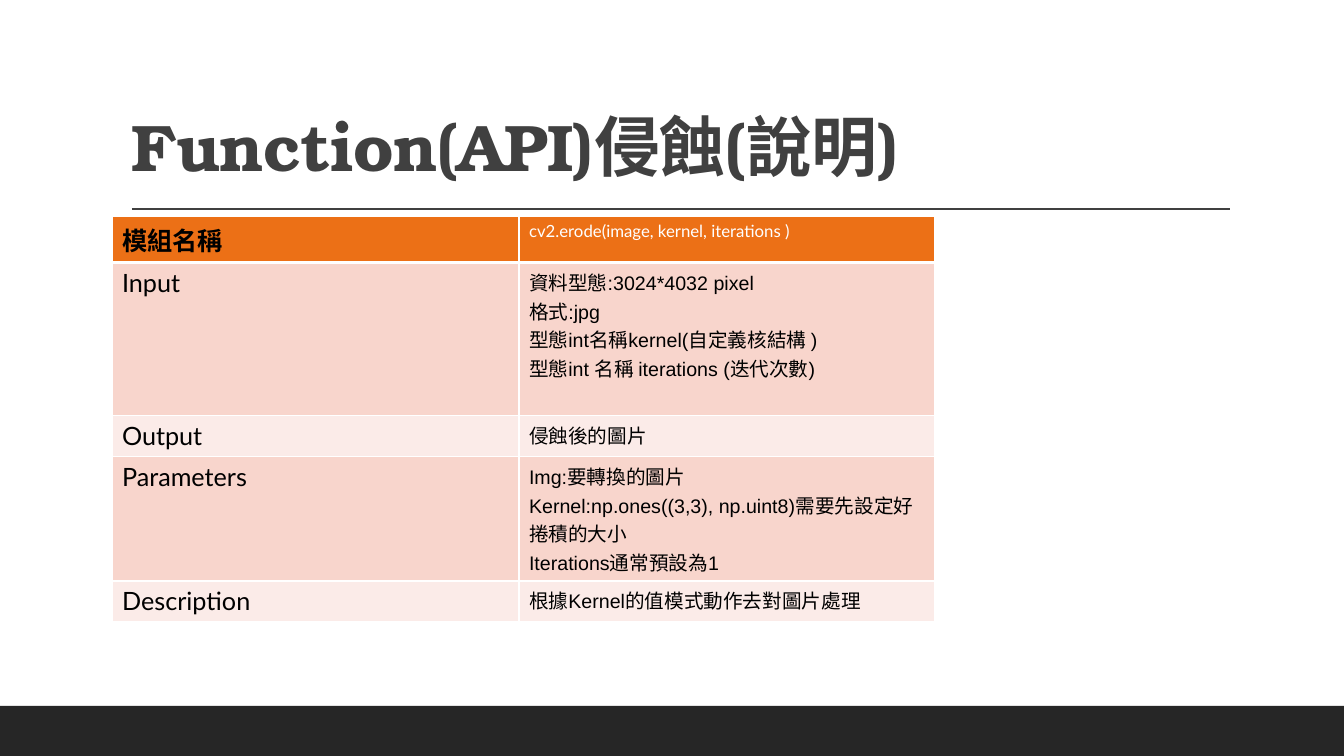
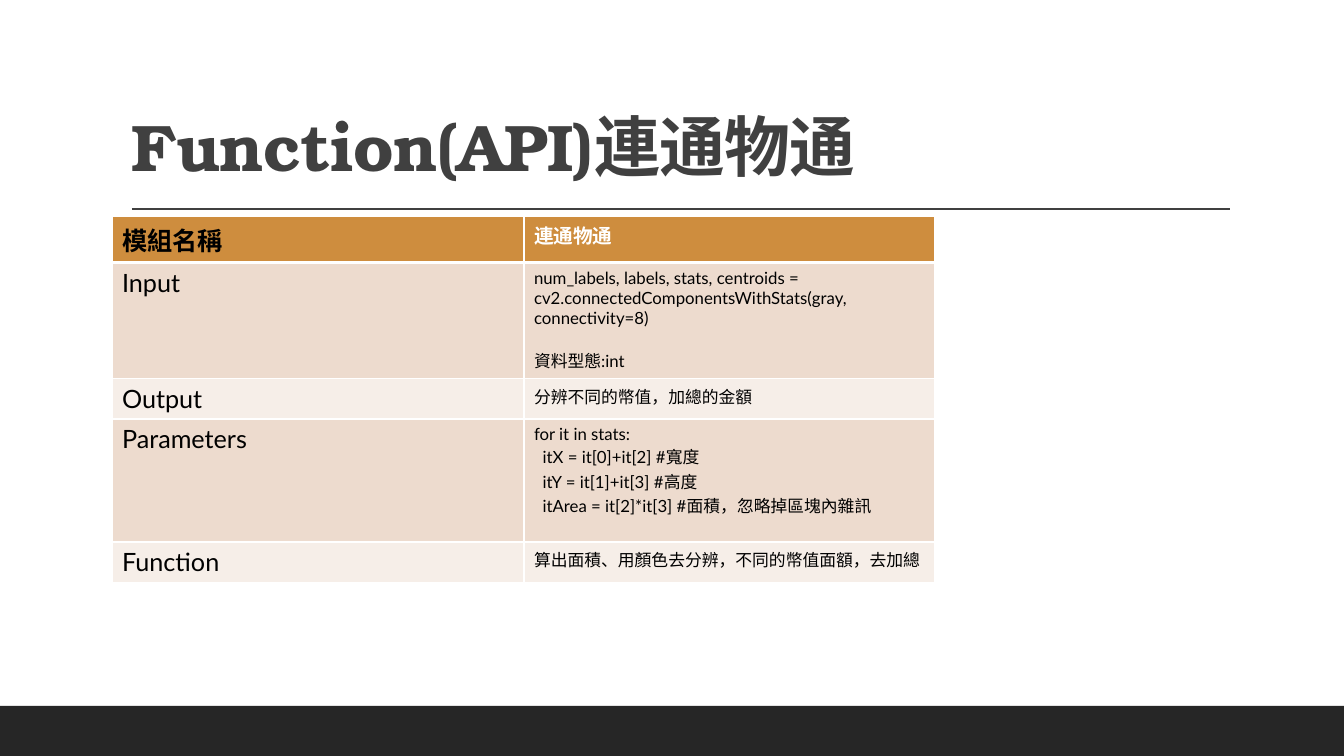
import pptx
import pptx.dml.color
import pptx.enum.shapes
import pptx.enum.text
import pptx.oxml
import pptx.oxml.ns
import pptx.util
from dataclasses import dataclass

# Content: row = (label, detail lines, height in px)
PAGES = [
    dict(
        title="Function(API)侵蝕(說明)",
        columns=(407, 416),
        colours=("EC7016", "F8D5CC", "FBEBE8"),
        heading=dict(size=12, bold=False),
        detail=dict(size=14, font="Arial"),
        rows=[
            ("模組名稱", ["cv2.erode(image, kernel, iterations )"], 46),
            ("Input", ["資料型態:3024*4032 pixel", "格式:jpg",
                       "型態int名稱kernel(自定義核結構 )",
                       "型態int 名稱 iterations (迭代次數)"], 153),
            ("Output", ["侵蝕後的圖片"], 41),
            ("Parameters", ["Img:要轉換的圖片",
                            "Kernel:np.ones((3,3), np.uint8)需要先設定好捲積的大小",
                            "Iterations通常預設為1"], 123),
            ("Description", ["根據Kernel的值模式動作去對圖片處理"], 41),
        ],
    ),
    dict(
        title="Function(API)連通物通",
        columns=(412, 411),
        colours=("CE8D3E", "EDDBCE", "F6EEE8"),
        heading=dict(size=14, bold=True),
        detail=dict(size=12),
        gap_before="資料型態:int",
        rows=[
            ("模組名稱", ["連通物通"], 46),
            ("Input", ["num_labels, labels, stats, centroids = "
                       "cv2.connectedComponentsWithStats(gray, connectivity=8)",
                       "資料型態:int"], 116),
            ("Output", ["分辨不同的幣值，加總的金額"], 40),
            ("Parameters", ["for it in stats:",
                            "  itX = it[0]+it[2] #寬度",
                            "  itY = it[1]+it[3] #高度",
                            "  itArea = it[2]*it[3] #面積，忽略掉區塊內雜訊"], 123),
            ("Function", ["算出面積、用顏色去分辨，不同的幣值面額，去加總"], 40),
        ],
    ),
]


@dataclass(frozen=True)
class Theme:
    title_font: str = "TeX Gyre Bonum"
    body_font: str = "Lato"
    title_size: int = 47
    label_size: int = 18
    paragraph_gap: float = 14.4
    title_colour: str = "404040"
    band: str = "262626"
    ink: str = "000000"
    paper: str = "FFFFFF"
    border: int = 1
    header_border: int = 3


THEME = Theme()
SLIDE_W, SLIDE_H = 1344, 756
BAND_TOP = 706
RULE = (132, 1230, 209)
TITLE_BOX = (121, 31, 1109, 160)
TABLE_LEFT, TABLE_TOP = 112, 216


def px(length):
    return pptx.util.Emu(round(length * 914400 / 100.8))


def rgb(colour):
    return pptx.dml.color.RGBColor.from_string(colour)


def add_text(paragraph, text, size, colour, font=THEME.body_font, bold=False):
    run = paragraph.add_run()
    run.text = text
    run.font.name, run.font.size, run.font.bold = font, pptx.util.Pt(size), bold
    run.font.color.rgb = rgb(colour)
    return run


def prepare_layout(layout, slide):
    """Give the layout its title box, footer band and title rule."""
    title, *unused = list(layout.placeholders)
    for placeholder in unused:
        placeholder.element.getparent().remove(placeholder.element)
    title.left, title.top, title.width, title.height = map(px, TITLE_BOX)

    band = slide.shapes.add_shape(
        pptx.enum.shapes.MSO_SHAPE.RECTANGLE,
        0, px(BAND_TOP), px(SLIDE_W), px(SLIDE_H - BAND_TOP))
    band.shadow.inherit = False
    band.fill.solid()
    band.fill.fore_color.rgb = rgb(THEME.band)
    band.line.fill.background()

    start, end, y = map(px, RULE)
    rule = slide.shapes.add_connector(
        pptx.enum.shapes.MSO_CONNECTOR.STRAIGHT, start, y, end, y)
    rule.line.color.rgb = rgb(THEME.title_colour)
    rule.line.width = pptx.util.Pt(1)
    properties = rule.element.find(pptx.oxml.ns.qn("p:spPr"))
    properties.append(pptx.oxml.parse_xml(
        f'<a:effectLst {pptx.oxml.ns.nsdecls("a")}/>'))

    for part in (band, rule):
        layout.shapes.element.append(part.element)


def write_title(title, text):
    title.left, title.top, title.width, title.height = map(px, TITLE_BOX)
    frame = title.text_frame
    frame.word_wrap = True
    frame.auto_size = pptx.enum.text.MSO_AUTO_SIZE.NONE
    frame.vertical_anchor = pptx.enum.text.MSO_ANCHOR.BOTTOM
    paragraph = frame.paragraphs[0]
    paragraph.alignment = pptx.enum.text.PP_ALIGN.LEFT
    paragraph.line_spacing = 0.9
    run = add_text(paragraph, text, THEME.title_size, THEME.title_colour,
                   THEME.title_font, True)
    run.font._element.set("spc", "-50")


def style_cell(cell, fill, top, bottom):
    """Draw the four borders, then the fill."""
    properties = cell._tc.get_or_add_tcPr()
    widths = dict(L=THEME.border, R=THEME.border, T=top, B=bottom)
    for side, width in widths.items():
        properties.append(pptx.oxml.parse_xml(
            f'<a:ln{side} {pptx.oxml.ns.nsdecls("a")} w="{pptx.util.Pt(width)}">'
            f'<a:solidFill><a:srgbClr val="{THEME.paper}"/></a:solidFill>'
            f'</a:ln{side}>'))
    cell.fill.solid()
    cell.fill.fore_color.rgb = rgb(fill)


def add_api_table(slide, page):
    rows, columns = page["rows"], page["columns"]
    table = slide.shapes.add_table(
        len(rows), len(columns), px(TABLE_LEFT), px(TABLE_TOP),
        px(sum(columns)), px(sum(height for *_, height in rows))).table
    for column, width in zip(table.columns, columns):
        column.width = px(width)

    header_fill, odd_fill, even_fill = page["colours"]
    for index, (label, details, height) in enumerate(rows):
        header = index == 0
        table.rows[index].height = px(height)
        fill = header_fill if header else (even_fill, odd_fill)[index % 2]
        top = THEME.header_border if index == 1 else THEME.border
        bottom = THEME.header_border if header else THEME.border
        label_cell, detail_cell = table.rows[index].cells
        for cell in (label_cell, detail_cell):
            style_cell(cell, fill, top, bottom)

        add_text(label_cell.text_frame.paragraphs[0], label,
                 THEME.label_size, THEME.ink, bold=header)
        style = page["heading"] if header else page["detail"]
        colour = THEME.paper if header else THEME.ink
        frame = detail_cell.text_frame
        for number, line in enumerate(details):
            paragraph = frame.add_paragraph() if number else frame.paragraphs[0]
            if line == page.get("gap_before"):
                paragraph.space_before = pptx.util.Pt(THEME.paragraph_gap)
            add_text(paragraph, line, colour=colour, **style)


def main():
    deck = pptx.Presentation()
    deck.slide_width, deck.slide_height = px(SLIDE_W), px(SLIDE_H)
    layout = deck.slide_layouts.get_by_name("Title Only")
    for index, page in enumerate(PAGES):
        slide = deck.slides.add_slide(layout)
        if index == 0:
            prepare_layout(layout, slide)
        write_title(slide.shapes.title, page["title"])
        add_api_table(slide, page)
    deck.save("out.pptx")


if __name__ == "__main__":
    main()
